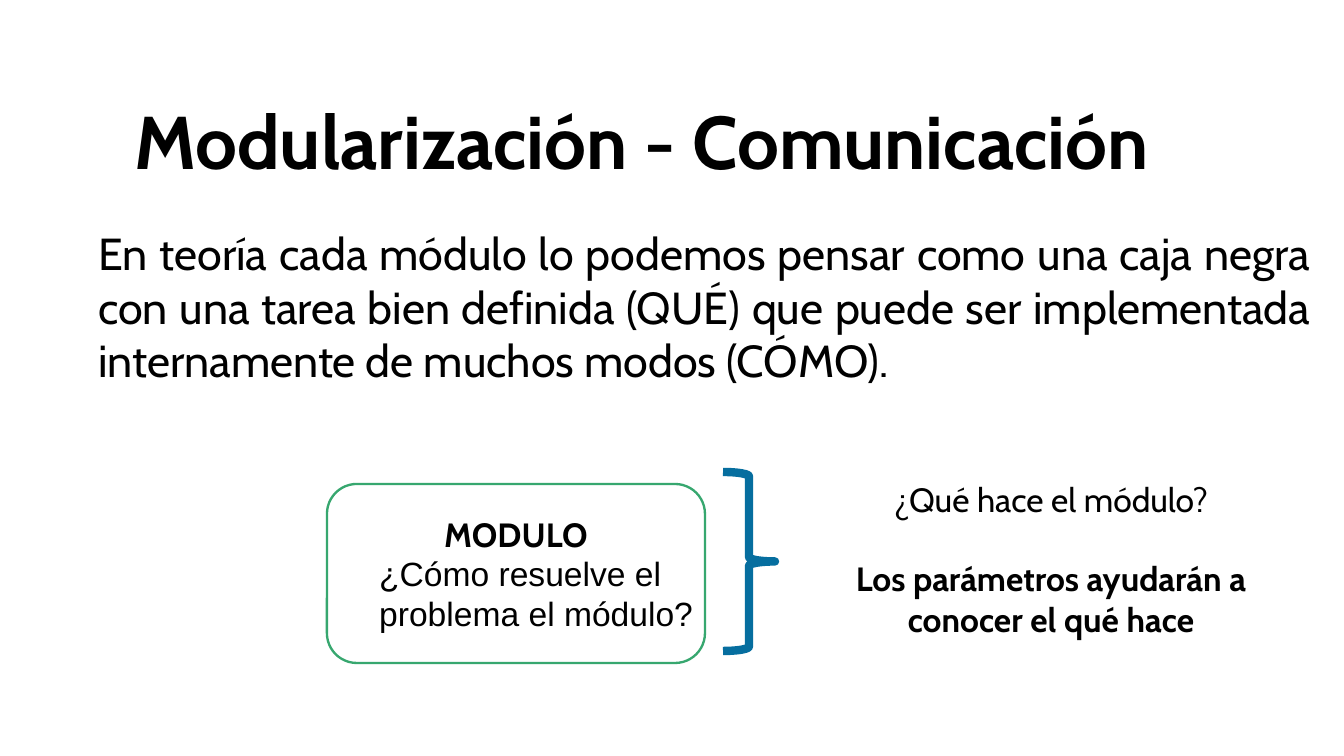
import pptx
import pptx.util
import pptx.dml.color
import pptx.enum.shapes
import pptx.enum.text

PX = 914400 / 134.4
C = {"text": "000000", "white": "FFFFFF", "green": "37A76F", "blue": "066E9F"}
ALIGN = pptx.enum.text.PP_ALIGN
ANCHOR = pptx.enum.text.MSO_ANCHOR
SHAPE = pptx.enum.shapes.MSO_SHAPE

SIZE = (1344, 756)
MODULE = {
    "at": (327, 484, 378, 179), "top": 21,
    "paras": [("MODULO", 18, "Cabin", True, ALIGN.CENTER, 0)],
}
BRACE = (723, 472, 52, 179)
TEXTS = [
    {"at": (121, 31, 1109, 160), "anchor": ANCHOR.BOTTOM, "spacing": 0.85,
     "paras": [("Modularización - Comunicación", 40, "Cabin", True, ALIGN.LEFT, 0)]},
    {"at": (85, 219, 1239, 175),
     "paras": [("En teoría cada módulo lo podemos pensar como una caja negra con una "
                "tarea bien definida (QUÉ) que puede ser implementada internamente de "
                "muchos modos (CÓMO).", 24, "Cabin", False, ALIGN.JUSTIFY, 0)]},
    {"at": (820, 472, 462, 175),
     "paras": [("¿Qué hace el módulo?", 18, "Cabin", False, ALIGN.CENTER, 0),
               ("Los parámetros ayudarán a conocer el qué hace",
                18, "Cabin", True, ALIGN.CENTER, 21)]},
    {"at": (366, 546, 388, 94),
     "paras": [("¿Cómo resuelve el problema el módulo?", 18, "Arial", False, ALIGN.LEFT, 0)]},
]


def emu(values):
    return [round(v * PX) for v in values]


def rgb(name):
    return pptx.dml.color.RGBColor.from_string(C[name])


def write(sp, item):
    tf = sp.text_frame
    tf.word_wrap = True
    tf.vertical_anchor = item.get("anchor", ANCHOR.TOP)
    if "top" in item:
        tf.margin_top = round(item["top"] * PX)
    for i, (text, size, font, bold, align, before) in enumerate(item["paras"]):
        p = tf.add_paragraph() if i else tf.paragraphs[0]
        p.alignment = align
        p.space_before = pptx.util.Pt(before)
        p.line_spacing = item.get("spacing", 1.0)
        r = p.add_run()
        r.text = text
        r.font.size = pptx.util.Pt(size)
        r.font.name = font
        r.font.bold = bold
        r.font.color.rgb = rgb("text")


def add_outline(s, kind, at, color, width):
    sp = s.shapes.add_shape(kind, *emu(at))
    sp.shadow.inherit = False
    sp.line.color.rgb = rgb(color)
    sp.line.width = pptx.util.Pt(width)
    return sp


prs = pptx.Presentation()
prs.slide_width, prs.slide_height = emu(SIZE)
s = prs.slides.add_slide(prs.slide_layouts[6])

module = add_outline(s, SHAPE.ROUNDED_RECTANGLE, MODULE["at"], "green", 1.25)
module.fill.solid()
module.fill.fore_color.rgb = rgb("white")
write(module, MODULE)

brace = add_outline(s, SHAPE.RIGHT_BRACE, BRACE, "blue", 4.5)
brace.fill.background()

for item in TEXTS:
    write(s.shapes.add_textbox(*emu(item["at"])), item)

prs.save("out.pptx")
